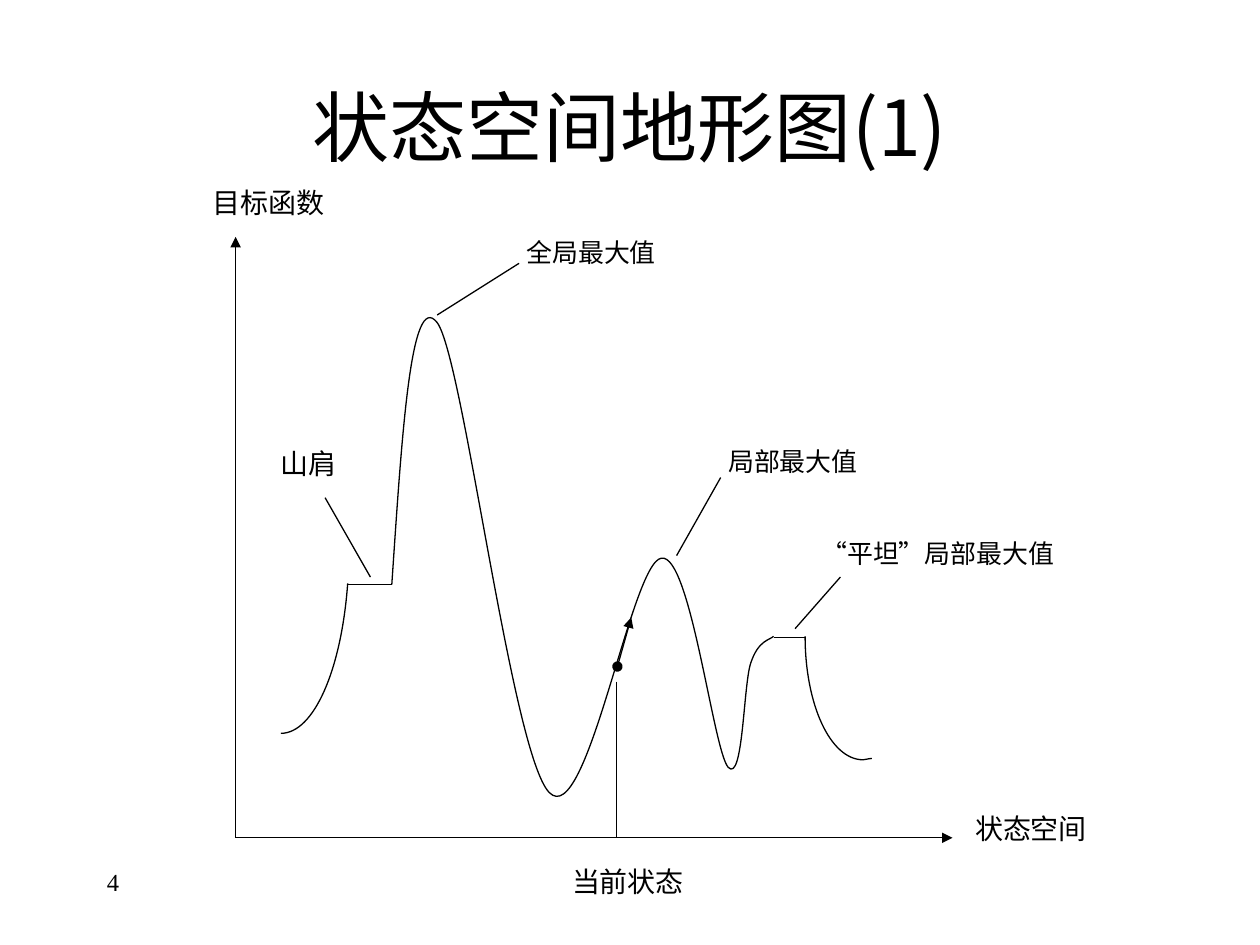
from dataclasses import dataclass

from lxml.etree import SubElement
from pptx import Presentation
from pptx.dml.color import RGBColor
from pptx.enum.dml import MSO_LINE_DASH_STYLE as Dash
from pptx.enum.shapes import MSO_CONNECTOR as Connector
from pptx.enum.text import MSO_ANCHOR as Anchor, PP_ALIGN as Align
from pptx.oxml.ns import qn
from pptx.util import Inches, Pt

BLACK = "000000"
SERIF = "Times New Roman"
SANS = "Noto Sans CJK SC"

CURVES = [
    [(0.36, 3.94), (0.62, 3.94), (0.84, 3.44), (0.89, 2.75)],
    [(1.24, 2.76),
     (1.32, 1.58), (1.39, 0.41), (1.6, 0.68),
     (1.81, 0.96), (2.19, 4.1), (2.49, 4.41),
     (2.79, 4.72), (3.14, 2.58), (3.38, 2.55),
     (3.61, 2.51), (3.79, 4.07), (3.91, 4.21),
     (4.03, 4.34), (4.03, 3.55), (4.09, 3.38),
     (4.15, 3.2), (4.24, 3.2), (4.27, 3.17)],
    [(5.05, 4.14),
     (5.02, 4.14), (5, 4.15), (4.98, 4.15),
     (4.72, 4.15), (4.52, 3.71), (4.52, 3.17)],
]
PLATEAUS = [((0.89, 2.76), (1.24, 2.76)), ((4.27, 3.18), (4.52, 3.18))]
LEADERS = [
    ((1.07, 2.7), (0.71, 2.07)),
    ((1.6, 0.62), (2.25, 0.21)),
    ((3.5, 2.53), (3.85, 1.91)),
    ((4.44, 3.11), (4.8, 2.7)),
]
LABELS = [
    ("山肩", 0.36, 1.66, 0.53, 16),
    ("目标函数", -0.18, -0.41, 0.9, 16),
    ("全局最大值", 2.31, 0, 1.07, 14.8),
    ("局部最大值", 3.91, 1.66, 1.07, 14.8),
    ("“平坦”局部最大值", 4.65, 2.39, 1.93, 14.8),
    ("状态空间", 5.87, 4.56, 0.9, 16),
    ("当前状态", 2.67, 4.98, 0.9, 16),
]


@dataclass
class Box:
    """A region of the slide, in inches."""

    left: float
    top: float
    width: float
    height: float

    def point(self, x, y):
        """Return the slide position of a point inside the box."""
        return Inches(self.left + x), Inches(self.top + y)

    def inner(self, x, y, width, height):
        """Return a box placed relative to this one."""
        return Box(self.left + x, self.top + y, width, height)


def color(value):
    """Turn a hex string into a colour."""
    return RGBColor.from_string(value)


def add_text(slide, box, text, size, font, align, anchor=Anchor.TOP, inset=(0, 0)):
    """Add a single-run text box."""
    shape = slide.shapes.add_textbox(
        *box.point(0, 0), Inches(box.width), Inches(box.height))
    frame = shape.text_frame
    frame.word_wrap = True
    frame.vertical_anchor = anchor
    frame.margin_left = frame.margin_right = Inches(inset[0])
    frame.margin_top = frame.margin_bottom = Inches(inset[1])
    paragraph = frame.paragraphs[0]
    paragraph.alignment = align
    run = paragraph.add_run()
    run.text = text
    run.font.size = Pt(size)
    run.font.name = font
    run.font.color.rgb = color(BLACK)
    SubElement(run.font._element, qn("a:ea"), typeface=SANS)


def add_line(slide, box, start, end, width=0.75, dash=None, head=None, tail=None):
    """Add a straight line between two points of the box."""
    connector = slide.shapes.add_connector(
        Connector.STRAIGHT, *box.point(*start), *box.point(*end))
    connector.line.color.rgb = color(BLACK)
    connector.line.width = Pt(width)
    if dash is not None:
        connector.line.dash_style = dash
    properties = connector._element.spPr
    for tag, kind in (("a:headEnd", head), ("a:tailEnd", tail)):
        if kind:
            SubElement(properties.find(qn("a:ln")), qn(tag), type=kind)
    SubElement(properties, qn("a:effectLst"))


def add_curve(slide, box, points):
    """Add a chain of cubic curves through a start and triples of points."""
    start, *controls = [box.point(*point) for point in points]
    builder = slide.shapes.build_freeform(*start)
    builder.add_line_segments(controls, close=False)
    shape = builder.convert_to_shape()
    shape.shadow.inherit = False
    shape.fill.background()
    shape.line.color.rgb = color(BLACK)
    shape.line.width = Pt(0.75)
    path = next(shape._element.iter(qn("a:path")))
    segments = path.findall(qn("a:lnTo"))
    for first in range(0, len(segments), 3):
        cubic = SubElement(path, qn("a:cubicBezTo"))
        for segment in segments[first:first + 3]:
            cubic.append(segment[0])
            path.remove(segment)


def add_title(slide, box):
    """Add the slide title."""
    add_text(slide, box, "状态空间地形图(1)", 44, SANS, Align.CENTER,
             Anchor.MIDDLE, (0.1, 0.05))


def add_page_number(slide, box):
    """Add the page number."""
    add_text(slide, box, "4", 14, SERIF, Align.LEFT, inset=(0.1, 0.05))


def add_landscape(slide, box):
    """Draw the axes, the landscape curve and its labels."""
    for points in CURVES:
        add_curve(slide, box, points)
    for start, end in PLATEAUS + LEADERS:
        add_line(slide, box, start, end)
    origin = (0, box.height)
    for end in ((box.width, box.height), (0, 0)):
        add_line(slide, box, origin, end, tail="triangle")
    add_line(slide, box, (3.03, 3.41), (3.14, 3.02), head="oval", tail="triangle")
    add_line(slide, box, (3.02, 3.53), (3.02, box.height), 0.25, Dash.ROUND_DOT)
    for text, x, y, width, size in LABELS:
        add_text(slide, box.inner(x, y, width, 0.41), text, size, SERIF,
                 Align.JUSTIFY)


def main():
    """Build and save the presentation."""
    presentation = Presentation()
    presentation.slide_width = Inches(10)
    presentation.slide_height = Inches(7.5)
    slide = presentation.slides.add_slide(presentation.slide_layouts[6])
    add_page_number(slide, Box(0.75, 6.83, 2.08, 0.5))
    add_title(slide, Box(0.75, 0.6, 8.5, 0.8))
    add_landscape(slide, Box(1.87, 1.88, 5.69, 4.77))
    presentation.save("out.pptx")


if __name__ == "__main__":
    main()
